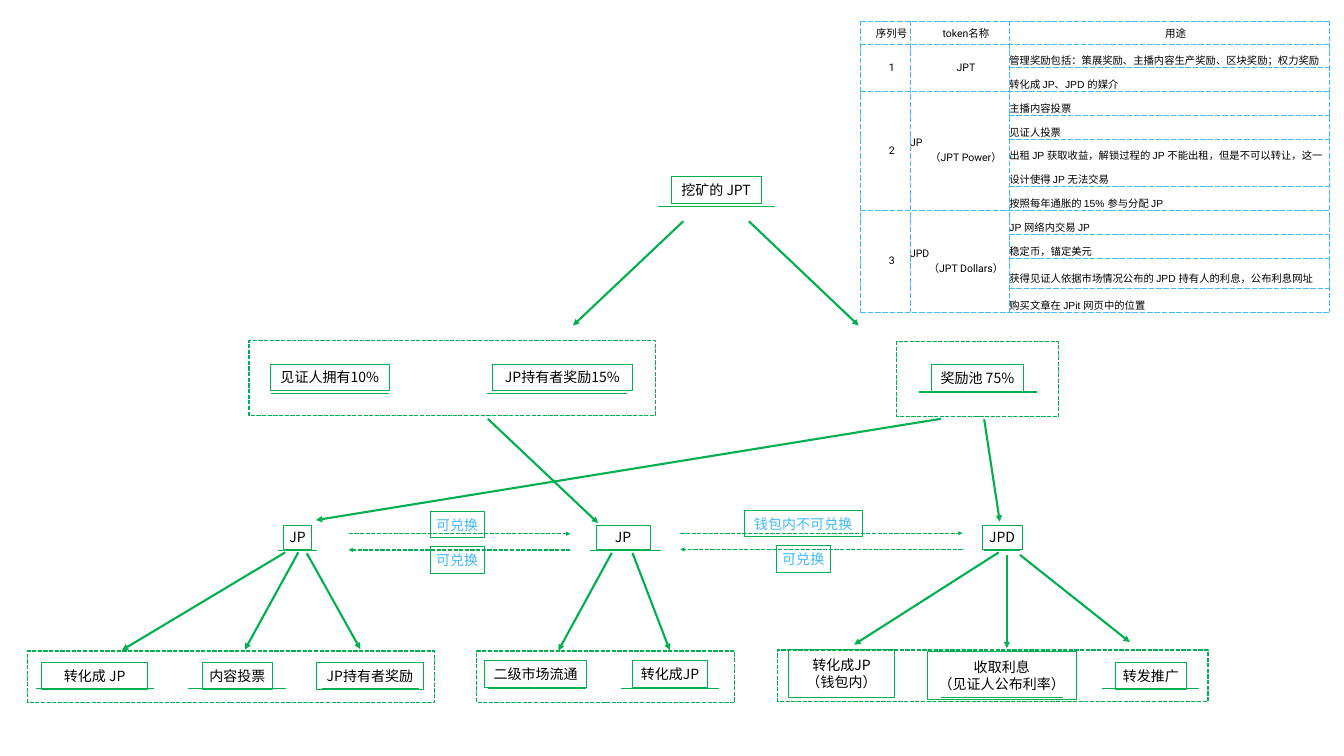
from lxml import etree
from pptx import Presentation
from pptx import util as u
from pptx.dml.color import RGBColor
from pptx.enum import dml, shapes, text
from pptx.oxml import ns

COLORS = {"green": "00B050", "blue": "40B9FF", "black": "000000", "white": "FFFFFF"}
CJK = "Noto Sans CJK SC"
UNIT = 2.54  # one layout unit in centimetres


def length(units):
    return u.Cm(units * UNIT)


def color(name):
    return RGBColor.from_string(COLORS[name])


def add_xml(parent, tag, **attributes):
    return etree.SubElement(parent, ns.qn(tag), attributes)


def write(para, words, size=20, font=CJK, ink="black", align=text.PP_ALIGN.CENTER,
          spacing=None, indent=None):
    para.alignment = align
    if spacing:
        para.line_spacing = u.Pt(spacing)
    if indent:
        para._p.get_or_add_pPr().set("indent", str(length(indent)))
    span = para.add_run()
    span.text = words
    span.font.size = u.Pt(size)
    span.font.color.rgb = color(ink)
    span.font.name = font
    add_xml(span.font._element, "a:ea", typeface=CJK)


def add_line(page, x1, y1, x2, y2, width=2, arrow=False, dashed=False):
    line = page.shapes.add_connector(
        shapes.MSO_CONNECTOR.STRAIGHT, *map(length, (x1, y1, x2, y2)))
    line.line.color.rgb = color("green")
    line.line.width = u.Pt(width)
    if dashed:
        line.line.dash_style = dml.MSO_LINE.SQUARE_DOT
    if arrow:
        add_xml(line.line._get_or_add_ln(), "a:tailEnd", type="triangle")
    add_xml(line._element.spPr, "a:effectLst")


def add_box(page, left, top, width, height, lines=(), ink="black", weight=1, dashed=False):
    box = page.shapes.add_shape(
        shapes.MSO_SHAPE.RECTANGLE, *map(length, (left, top, width, height)))
    box.shadow.inherit = False
    box.fill.background()
    box.line.color.rgb = color("green")
    box.line.width = u.Pt(weight)
    if dashed:
        box.line.dash_style = dml.MSO_LINE.SQUARE_DOT
    frame = box.text_frame
    frame.word_wrap = False
    frame.vertical_anchor = text.MSO_ANCHOR.MIDDLE
    frame.margin_left = frame.margin_right = length(0.06)
    frame.margin_top = frame.margin_bottom = length(0.06)
    for index, words in enumerate(lines):
        write(frame.add_paragraph() if index else frame.paragraphs[0], words, ink=ink)


def add_nodes(page, box, nodes, framed=True):
    """Underlined text boxes, with a dashed frame around them if wanted."""
    left, top, width, height = box
    for words, (x, y, w, h), (rule_x, rule_y, rule_w) in nodes:
        add_box(page, left + x, top + y, w, h, words.split("\n"))
        add_line(page, left + rule_x, top + rule_y, left + rule_x + rule_w, top + rule_y)
    if framed:
        add_box(page, left, top, width, height, weight=2, dashed=True)


def add_arrows(page, box, ends):
    left, top = box
    for x1, y1, x2, y2 in ends:
        add_line(page, left + x1, top + y1, left + x2, top + y2, width=3, arrow=True)


def add_exchange(page, box, labels):
    """A dashed arrow each way, with a label on each."""
    left, top, width, height = box
    for words, x, y, w in labels:
        add_box(page, left + x, top + y, w, 0.53, [words], ink="blue")
    right, bottom = left + width, top + height
    add_line(page, left, top, right, top, arrow=True, dashed=True)
    add_line(page, right, bottom, left, bottom, arrow=True, dashed=True)


def format_cell(cell):
    cell.margin_left = cell.margin_right = cell.margin_top = cell.margin_bottom = 0
    cell.vertical_anchor = text.MSO_ANCHOR.MIDDLE
    cell.fill.solid()
    cell.fill.fore_color.rgb = color("white")
    properties = cell._tc.get_or_add_tcPr()
    for index, side in enumerate(("a:lnL", "a:lnR", "a:lnT", "a:lnB")):
        border = add_xml(properties, side, w=str(u.Pt(1)))
        add_xml(add_xml(border, "a:solidFill"), "a:srgbClr", val=COLORS["blue"])
        add_xml(border, "a:prstDash", val="dash")
        properties.insert(index, border)


def add_token_table(page, box, header, tokens):
    widths = (0.98, 1.97, 6.35)
    heights = [0.45] * 11
    heights[5] = heights[9] = 0.6
    table = page.shapes.add_table(
        len(heights), len(widths), *map(length, box)).table
    table.first_row = table.horz_banding = False
    for column, width in zip(table.columns, widths):
        column.width = length(width)
    for row, height in zip(table.rows, heights):
        row.height = length(height)
    for cell in table.iter_cells():
        format_cell(cell)
    label = {"size": 15, "font": "Roboto", "indent": 0.25}

    for column, words in enumerate(header):
        write(table.cell(0, column).text_frame.paragraphs[0], words, **label)
    first = 1
    for number, (name, full_name, uses) in enumerate(tokens, 1):
        last = first + len(uses) - 1
        for column in (0, 1):
            table.cell(first, column).merge(table.cell(last, column))
        write(table.cell(first, 0).text_frame.paragraphs[0], str(number), **label)
        frame = table.cell(first, 1).text_frame
        if full_name:
            write(frame.paragraphs[0], name, size=15, font="Roboto",
                  align=text.PP_ALIGN.LEFT)
            write(frame.add_paragraph(), full_name, **label)
        else:
            write(frame.paragraphs[0], name, **label)
        for row, words in enumerate(uses, first):
            write(table.cell(row, 2).text_frame.paragraphs[0], words, size=14.7,
                  font="Arial", align=text.PP_ALIGN.LEFT, spacing=34)
        first = last + 1


def main():
    deck = Presentation()
    deck.slide_width, deck.slide_height = length(26.67), length(15)
    page = deck.slides.add_slide(deck.slide_layouts[6])

    # Mined tokens and how they are shared out
    add_nodes(page, (13.05, 3.5, 2.33, 0.6), [
        ("挖矿的 JPT", (0.27, 0, 1.78, 0.53), (0, 0.6, 2.33))], framed=False)
    add_nodes(page, (4.94, 6.76, 8.07, 1.48), [
        ("见证人拥有10%", (0.42, 0.46, 2.37, 0.53), (0.44, 1.05, 2.33)),
        ("JP持有者奖励15%", (4.83, 0.46, 2.78, 0.53), (4.73, 1.05, 2.78))])
    add_nodes(page, (17.79, 6.78, 3.22, 1.48), [
        ("奖励池 75%", (0.69, 0.45, 1.83, 0.53), (0.44, 1, 2.34))])

    # Tokens and the exchange between them
    for words, left, node_x, node_width, rule_x, rule_width in (
            ("JP", 5.51, 0.12, 0.55, 0, 0.79),
            ("JP", 11.71, 0.12, 1.07, 0, 1.4),
            ("JPD", 19.49, 0, 0.79, 0.04, 0.71)):
        add_nodes(page, (left, 10.42, rule_width, 0.5), [
            (words, (node_x, 0, node_width, 0.48), (rule_x, 0.5, rule_width))], framed=False)
    add_exchange(page, (6.92, 10.59, 4.4, 0.32), [
        ("可兑换", 1.61, -0.45, 1.08), ("可兑换", 1.61, 0.26, 1.08)])
    add_exchange(page, (13.5, 10.58, 5.6, 0.32), [
        ("钱包内不可兑换", 1.27, -0.46, 2.34), ("可兑换", 1.9, 0.25, 1.08)])

    # Uses of each token
    add_nodes(page, (0.55, 12.92, 8.07, 1.02), [
        ("转化成 JP", (0.28, 0.22, 2.1, 0.53), (0.16, 0.74, 2.34)),
        ("内容投票", (3.46, 0.22, 1.4, 0.53), (3.19, 0.74, 1.93)),
        ("JP持有者奖励", (5.73, 0.22, 2.12, 0.53), (5.83, 0.74, 1.93))])
    add_nodes(page, (9.46, 12.92, 5.12, 1.02), [
        ("二级市场流通", (0.16, 0.18, 2.02, 0.53), (0.22, 0.74, 1.94)),
        ("转化成JP", (3.09, 0.19, 1.49, 0.53), (2.87, 0.74, 1.93))])
    add_nodes(page, (15.43, 12.9, 8.54, 1.02), [
        ("转化成JP\n（钱包内）", (0.22, -0.02, 2.1, 0.96), (0.27, 0.94, 1.94)),
        ("收取利息\n（见证人公布利率）", (2.97, 0.03, 2.96, 0.95), (3.24, 0.94, 2.43)),
        ("转发推广", (6.71, 0.24, 1.4, 0.53), (6.44, 0.76, 1.93))])

    # Arrows from one level to the next
    add_arrows(page, (11.37, 4.39), [(2.19, 0, 0, 2.07), (3.49, 0, 5.67, 2.07)])
    add_arrows(page, (6.27, 8.31), [
        (3.41, 0, 5.6, 2.07), (12.4, 0, 0, 2.01), (13.26, 0.01, 13.57, 2.04)])
    add_arrows(page, (2.42, 10.96), [
        (3.24, 0, 0, 1.94), (3.5, 0, 2.44, 1.93), (3.67, 0.02, 4.73, 1.92)])
    add_arrows(page, (11.08, 10.97), [(1.06, 0, 0, 1.94), (1.47, 0, 2.21, 1.93)])
    add_arrows(page, (16.95, 10.96), [
        (2.87, 0, 0, 1.83), (3.03, 0.05, 3.03, 1.9), (3.29, 0.05, 5.47, 1.78)])

    # Token table
    add_token_table(page, (17.08, 0.42, 9.3, 5.25), ("序列号", "token名称", "用途"), [
        ("JPT", "", ["管理奖励包括：策展奖励、主播内容生产奖励、区块奖励；权力奖励",
                     "转化成 JP、JPD 的媒介"]),
        ("JP", "（JPT Power）", [
            "主播内容投票", "见证人投票",
            "出租 JP 获取收益，解锁过程的 JP 不能出租，但是不可以转让，这一设计使得 JP 无法交易",
            "按照每年通胀的 15% 参与分配 JP"]),
        ("JPD", "（JPT Dollars）", [
            "JP 网络内交易 JP", "稳定币，锚定美元",
            "获得见证人依据市场情况公布的 JPD 持有人的利息，公布利息网址",
            "购买文章在 JPit 网页中的位置"])])
    deck.save("out.pptx")


if __name__ == "__main__":
    main()
